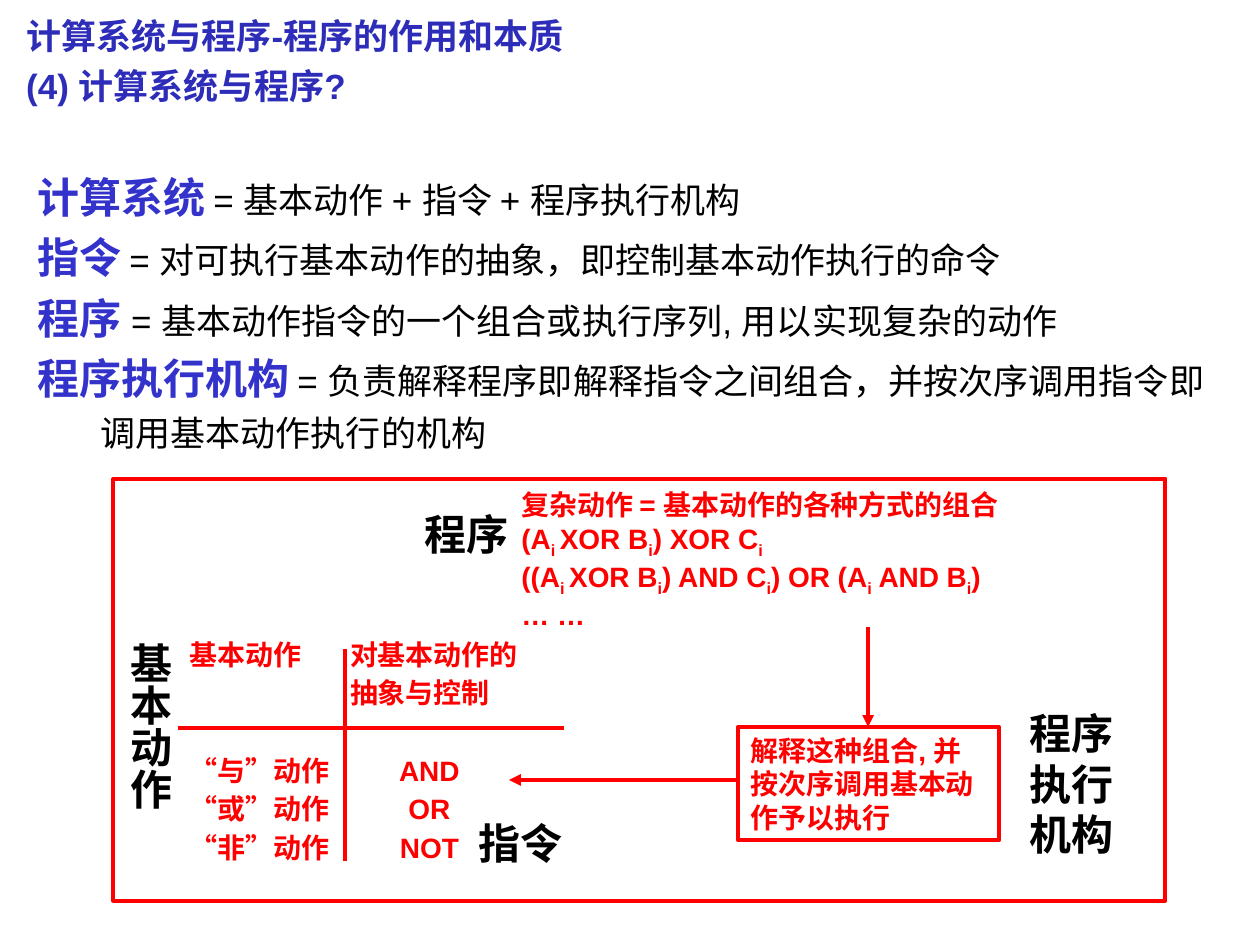
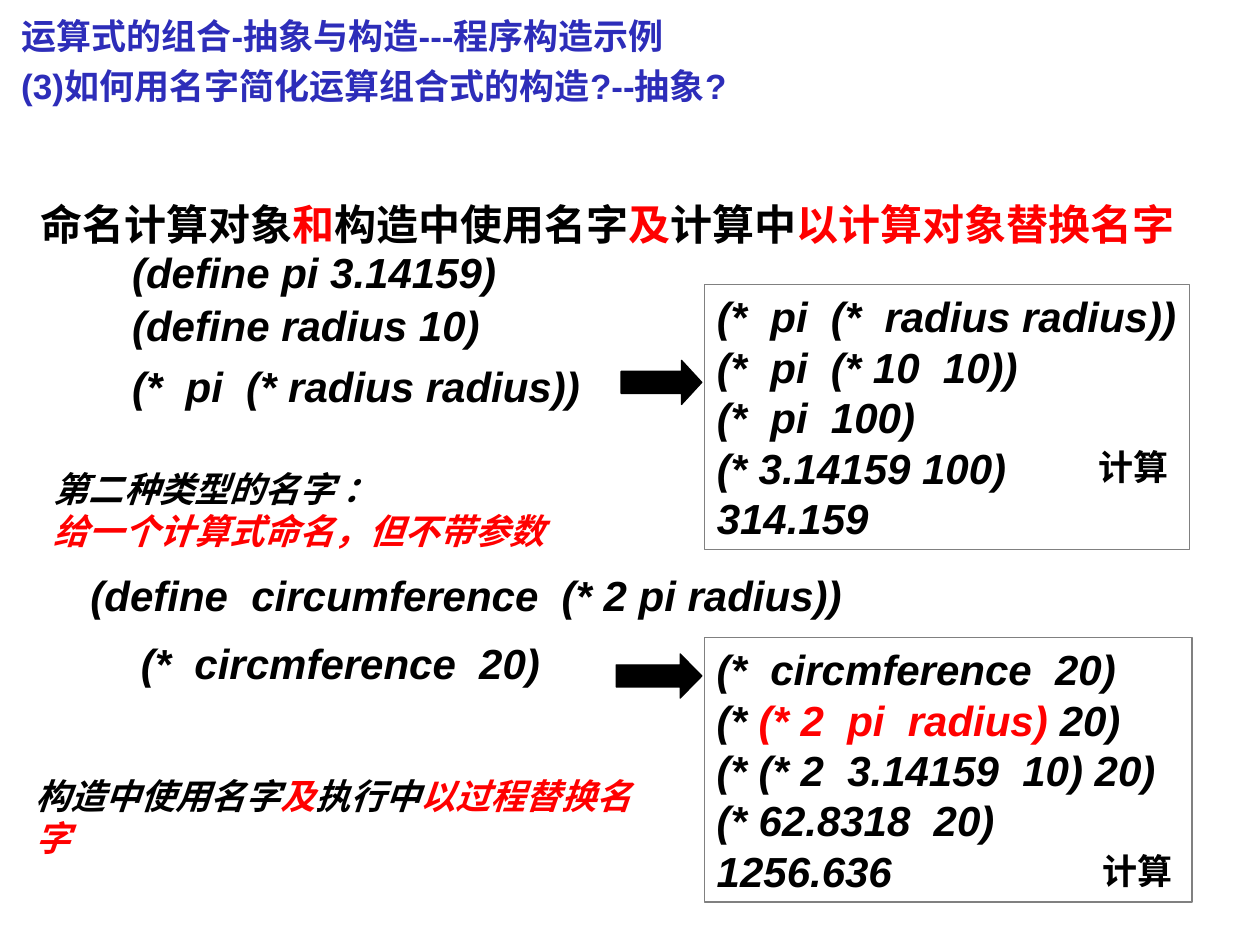
from dataclasses import dataclass

from lxml.etree import SubElement
from pptx import Presentation
from pptx.dml.color import RGBColor as RGB
from pptx.enum.shapes import MSO_CONNECTOR as Connector, MSO_SHAPE as Shape
from pptx.enum.text import MSO_ANCHOR as Anchor, MSO_AUTO_SIZE as AutoSize, PP_ALIGN as Align
from pptx.oxml.ns import qn
from pptx.util import Inches, Pt


@dataclass(frozen=True)
class Theme:
    font: str = "Arial"
    title: RGB = RGB(0x2D, 0x2D, 0xB9)
    term: RGB = RGB(0x33, 0x33, 0xCC)
    accent: RGB = RGB(0xFF, 0, 0)
    ink: RGB = RGB(0, 0, 0)
    paper: RGB = RGB(0xFF, 0xFF, 0xFF)
    frame: RGB = RGB(0x80, 0x80, 0x80)
    large: int = 24
    medium: int = 20
    small: int = 16
    heavy: float = 2.25
    thin: float = 0.75


theme = Theme()
RED = {"color": theme.accent}


def add_text(slide, at, paragraphs, size=theme.large, color=theme.ink, italic=False,
             spacing=None, wrap=True, border=None, width=theme.thin, fill=None):
    """Add a text box, or a bordered rectangle; a paragraph is a string or (text, style) spans."""
    left, top, *extent = [Inches(value) for value in at]
    if border is None:
        box = slide.shapes.add_textbox(left, top, *extent)
    else:
        box = slide.shapes.add_shape(Shape.RECTANGLE, left, top, *extent)
        box.shadow.inherit = False
        box.line.color.rgb, box.line.width = border, Pt(width)
        if fill is None:
            box.fill.background()
        else:
            box.fill.solid()
            box.fill.fore_color.rgb = fill
    frame = box.text_frame
    frame.word_wrap = wrap
    frame.vertical_anchor = Anchor.TOP
    if paragraphs:
        frame.auto_size = AutoSize.SHAPE_TO_FIT_TEXT
    for index, content in enumerate(paragraphs):
        para = frame.add_paragraph() if index else frame.paragraphs[0]
        para.alignment = Align.LEFT
        if spacing:
            para.line_spacing = spacing
        for text, style in [(content, {})] if isinstance(content, str) else content:
            span = para.add_run()
            span.text = text
            font = span.font
            font.name = theme.font
            font.size = Pt(style.get("size", size))
            font.bold = style.get("bold", True)
            font.italic = italic
            font.color.rgb = style.get("color", color)
            if "baseline" in style:
                span._r.get_or_add_rPr().set("baseline", style["baseline"])
    return box


def add_line(slide, start, end, arrow=False):
    ends = [Inches(value) for value in (*start, *end)]
    line = slide.shapes.add_connector(Connector.STRAIGHT, *ends)
    line.line.color.rgb, line.line.width = theme.accent, Pt(theme.heavy)
    if arrow:
        SubElement(line.line._get_or_add_ln(), qn("a:tailEnd"), type="triangle")
    SubElement(line._element.spPr, qn("a:effectLst"))


deck = Presentation()
deck.slide_width, deck.slide_height = Inches(10), Inches(7.5)
blank = deck.slide_layouts[6]
titles = [
    (0.11, ["计算系统与程序-程序的作用和本质", "(4) 计算系统与程序?"]),
    (0.07, ["运算式的组合-抽象与构造---程序构造示例",
            "(3)如何用名字简化运算组合式的构造?--抽象?"]),
]
pages = []
for left, lines in titles:
    page = deck.slides.add_slide(blank)
    add_text(page, (left, 0, 9, 0.9), lines, theme.medium, theme.title, spacing=1.2)
    pages.append(page)
system_page, naming_page = pages

# Slide 1: definitions
term = {"color": theme.term}
meaning = {"size": theme.medium, "bold": False}
definitions = [
    ("计算系统", " = 基本动作 + 指令 + 程序执行机构"),
    ("指令", " = 对可执行基本动作的抽象，即控制基本动作执行的命令"),
    ("程序 ", "= 基本动作指令的一个组合或执行序列, 用以实现复杂的动作"),
    ("程序执行机构", " = 负责解释程序即解释指令之间组合，并按次序调用指令即调用基本动作执行的机构"),
]
box = add_text(system_page, (0.2, 1.23, 9.55, 2.42),
               [[(name, term), (text, meaning)] for name, text in definitions], spacing=1.2)
for para in box.text_frame.paragraphs:
    properties = para._p.get_or_add_pPr()
    properties.set("marL", str(Inches(0.5)))
    properties.set("indent", str(Inches(-0.5)))

# Slide 1: diagram of program, instructions and executor
add_text(system_page, (0.9, 3.8, 8.35, 3.35), [], border=theme.accent, width=theme.heavy)

formulas = ["(A_i _XOR B_i_) XOR C_i", "((A_i _XOR B_i_) AND C_i_) OR (A_i_ AND B_i_)"]
subscript = {"baseline": "-25000"}
formula_lines = [[(part, subscript if part.strip() == "i" else {}) for part in formula.split("_")]
                 for formula in formulas]
add_text(system_page, (4.04, 3.82, 4.5, 1.24),
         ["复杂动作 = 基本动作的各种方式的组合", *formula_lines, "… …"],
         theme.small, theme.accent)

actions = ["基本动作\t对基本动作的", "\t抽象与控制",
           "“与”动作\tAND", "“或”动作\tOR", "“非”动作\tNOT"]
box = add_text(system_page, (1.41, 4.97, 2.94, 1.94), actions,
               theme.small, theme.accent, spacing=1.15)
rows = box.text_frame.paragraphs
rows[2].space_before = Pt(22)
for index, row in enumerate(rows):
    position, alignment = (1.27, "l") if index < 2 else (1.9, "ctr")
    tabs = SubElement(row._p.get_or_add_pPr(), qn("a:tabLst"))
    SubElement(tabs, qn("a:tab"), pos=str(Inches(position)), algn=alignment)

add_text(system_page, (5.86, 5.77, 2.07, 0.9), ["解释这种组合, 并按次序调用基本动作予以执行"],
         theme.small, theme.accent, border=theme.accent, width=theme.heavy)

add_line(system_page, (1.41, 5.78), (4.48, 5.78))
add_line(system_page, (2.74, 5.15), (2.74, 6.83))
add_line(system_page, (6.89, 4.98), (6.89, 5.77), arrow=True)
add_line(system_page, (5.85, 6.19), (4.04, 6.19), arrow=True)

add_text(system_page, (8.07, 5.57, 1.1, 1.3), ["程序", "执行", "机构"])
add_text(system_page, (3.27, 3.99, 1.1, 0.5), ["程序"])
add_text(system_page, (3.7, 6.44, 1.1, 0.5), ["指令"])
box = add_text(system_page, (0.84, 5, 0.6, 1.65), ["基本动作"])
frame = box.text_frame
frame.margin_left = frame.margin_right = Inches(0.05)
frame.margin_top = frame.margin_bottom = Inches(0.1)
frame.auto_size = AutoSize.NONE
frame._txBody.bodyPr.set("vert", "eaVert")

# Slide 2: expressions entered on the left
add_text(naming_page, (0.22, 1.37, 9.45, 0.66),
         [[("命名计算对象", {}), ("和", RED), ("构造中使用名字", {}), ("及", RED),
           ("计算中", {}), ("以计算对象替换名字", RED)]], spacing=1.4)
expressions = [
    (0.95, 1.91, 4, "(define pi 3.14159)"),
    (0.95, 2.33, 4, "(define radius 10)"),
    (0.95, 2.81, 4, "(*  pi  (* radius radius))"),
    (0.62, 4.47, 6.5, "(define  circumference  (* 2 pi radius))"),
    (1.02, 5.01, 3.8, "(*  circmference  20)"),
]
for left, top, width, code in expressions:
    add_text(naming_page, (left, top, width, 0.5), [code], italic=True)

# Slide 2: evaluation steps on the right, each with its arrow and label
evaluations = [
    ((5.59, 2.26, 3.85, 2.1), (4.93, 2.86, 0.64, 0.35), 0.46, (8.62, 3.49),
     ["(*  pi  (*  radius radius))", "(*  pi  (* 10  10))", "(*  pi  100)",
      "(* 3.14159 100)", "314.159"]),
    ((5.59, 5.06, 3.87, 2.1), (4.89, 5.19, 0.68, 0.35), 0.49, (8.65, 6.69),
     ["(*  circmference  20)", [("(* ", {}), ("(* 2  pi  radius) ", RED), ("20)", {})],
      "(* (* 2  3.14159  10) 20)", "(* 62.8318  20)", "1256.636"]),
]
for steps_at, arrow_at, head, label_at, steps in evaluations:
    add_text(naming_page, steps_at, steps, italic=True, wrap=False,
             border=theme.frame, fill=theme.paper)
    arrow = naming_page.shapes.add_shape(Shape.RIGHT_ARROW, *[Inches(value) for value in arrow_at])
    arrow.shadow.inherit = False
    arrow.adjustments[1] = head
    arrow.fill.solid()
    arrow.fill.fore_color.rgb = arrow.line.color.rgb = theme.ink
    arrow.line.width = Pt(theme.thin)
    add_text(naming_page, (*label_at, 0.9, 0.44), ["计算"], theme.medium)

remarks = [
    (0.33, 3.66, ["第二种类型的名字 ：", [("给一个计算式命名，但不带参数", RED)]]),
    (0.18, 6.1, [[("构造中使用名字", {}), ("及", RED), ("执行中", {}), ("以过程替换名字", RED)]]),
]
for left, top, lines in remarks:
    add_text(naming_page, (left, top, 5, 0.77), lines, theme.medium, italic=True)

deck.save("out.pptx")
